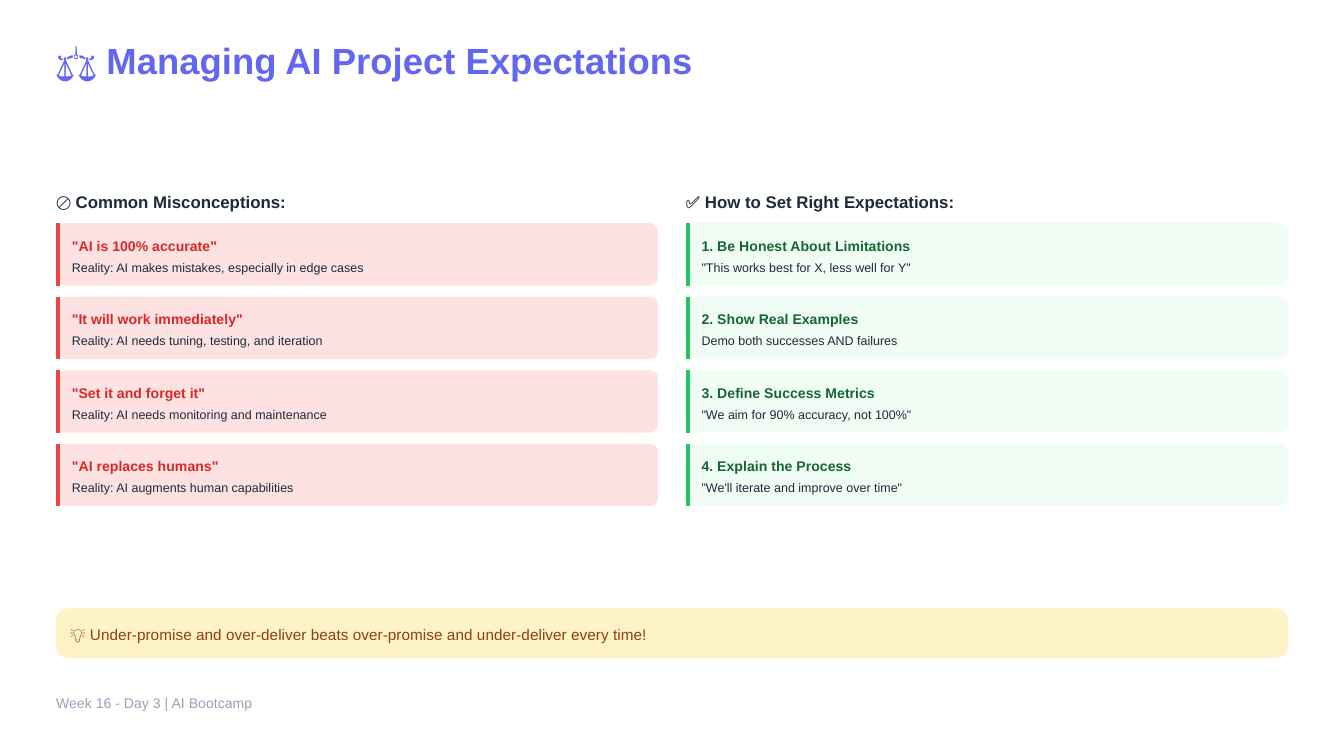
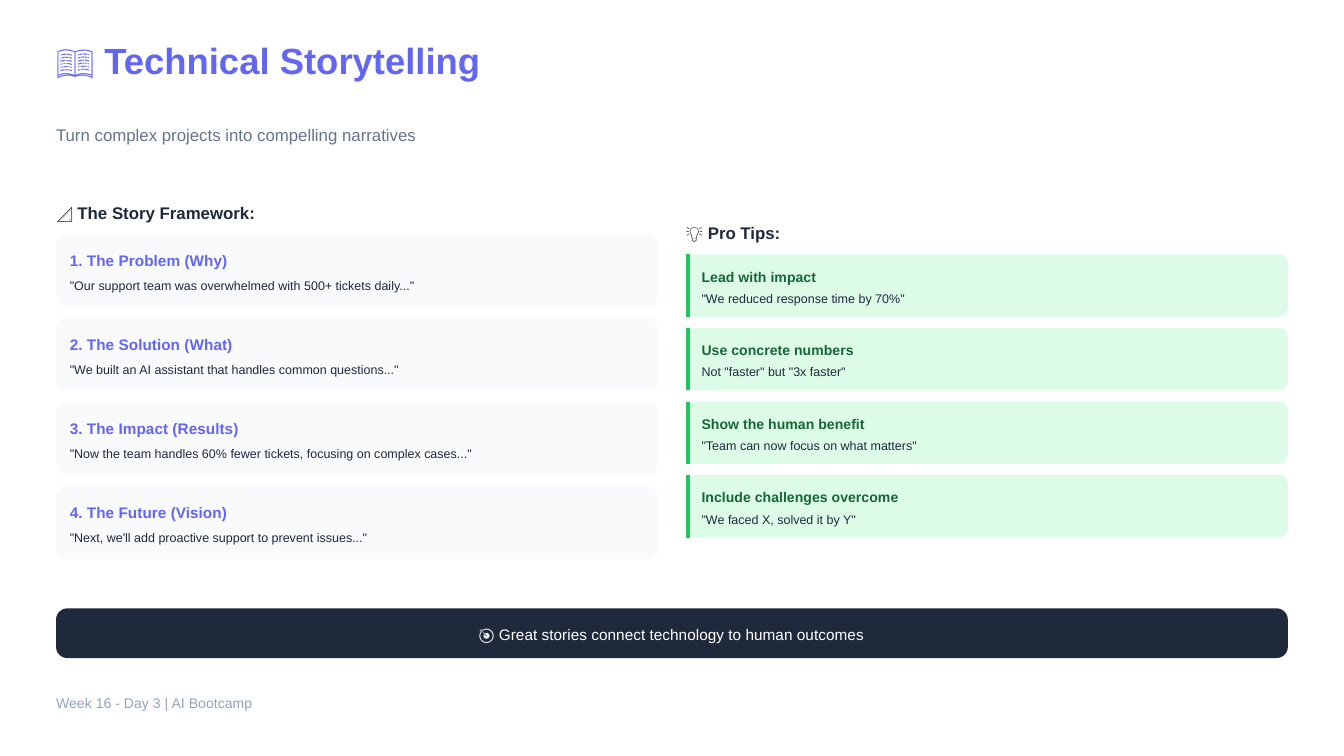
import dataclasses

import pptx
import pptx.dml.color
import pptx.enum.shapes
import pptx.enum.text
import pptx.oxml
import pptx.util

Cm = pptx.util.Cm
Pt = pptx.util.Pt
RGBColor = pptx.dml.color.RGBColor
PP_ALIGN = pptx.enum.text.PP_ALIGN

INDIGO = RGBColor(0x63, 0x66, 0xF1)
INK = RGBColor(0x1E, 0x29, 0x3B)
SLATE = RGBColor(0x64, 0x74, 0x8B)
MUTED = RGBColor(0x94, 0xA3, 0xB8)
WHITE = RGBColor(0xFF, 0xFF, 0xFF)
MIST = RGBColor(0xF8, 0xFA, 0xFC)
RED = RGBColor(0xEF, 0x44, 0x44)
RED_DARK = RGBColor(0xDC, 0x26, 0x26)
RED_PALE = RGBColor(0xFE, 0xE2, 0xE2)
GREEN = RGBColor(0x22, 0xC5, 0x5E)
GREEN_DARK = RGBColor(0x16, 0x65, 0x34)
GREEN_PALE = RGBColor(0xF0, 0xFD, 0xF4)
GREEN_LIGHT = RGBColor(0xDC, 0xFC, 0xE7)
AMBER_DARK = RGBColor(0x92, 0x40, 0x0E)
AMBER_PALE = RGBColor(0xFE, 0xF3, 0xC7)

FONT = "Arial"
LEFT, RIGHT = Cm(1.06), Cm(12.96)
CARD_W, BANNER_W = Cm(11.38), Cm(23.28)
CARD_GAP = Cm(0.21)
HEADING_H = Cm(0.66)
FOOTER = "Week 16 - Day 3 | AI Bootcamp"


@dataclasses.dataclass
class CardStyle:
    """Look and inner measures of the cards in a column."""
    fill: RGBColor
    title_color: RGBColor
    bar: RGBColor = None
    height: int = Cm(1.18)
    radius: float = 0.135
    title_size: float = 7.5
    inset: int = Cm(0.3)
    title_y: int = Cm(0.21)
    body_y: int = Cm(0.64)


MYTH = CardStyle(RED_PALE, RED_DARK, RED)
ADVICE = CardStyle(GREEN_PALE, GREEN_DARK, GREEN)
TIP = CardStyle(GREEN_LIGHT, GREEN_DARK, GREEN)
STORY = CardStyle(MIST, INDIGO, height=Cm(1.38), radius=0.154, title_size=8.25,
                  inset=Cm(0.26), title_y=Cm(0.26), body_y=Cm(0.78))


def write(sp, text, size, color, bold=False, align=PP_ALIGN.LEFT, leading=1.4, after=0):
    """Fill a shape with one formatted paragraph without margins."""
    tf = sp.text_frame
    tf.word_wrap = True
    tf.auto_size = pptx.enum.text.MSO_AUTO_SIZE.NONE
    tf.vertical_anchor = pptx.enum.text.MSO_ANCHOR.TOP
    tf.margin_left = tf.margin_top = tf.margin_right = tf.margin_bottom = 0
    p = tf.paragraphs[0]
    p.alignment = align
    p.line_spacing = Pt(round(size * leading, 2))
    p.space_before, p.space_after = Pt(0), Pt(after)
    r = p.add_run()
    r.text = text
    r.font.name, r.font.size, r.font.bold = FONT, Pt(size), bold
    r.font.color.rgb = color


def add_text(slide, x, y, w, text, size, color, **fmt):
    """Add a one-line text box whose height follows its type size."""
    sp = slide.shapes.add_textbox(x, y, w, Pt(round(size * 1.4, 2)))
    write(sp, text, size, color, **fmt)


def add_panel(slide, x, y, w, h, fill, radius):
    """Add a rounded panel without outline."""
    kind = pptx.enum.shapes.MSO_SHAPE.ROUNDED_RECTANGLE
    sp = slide.shapes.add_shape(kind, x, y, w, h)
    sp.adjustments[0] = radius
    sp.shadow.inherit = False
    sp.fill.solid()
    sp.fill.fore_color.rgb = fill
    sp.line.fill.background()


def add_bar(slide, x, y, h, color):
    """Add a vertical accent line."""
    kind = pptx.enum.shapes.MSO_CONNECTOR.STRAIGHT
    line = slide.shapes.add_connector(kind, x, y, x, y + h)
    line.line.color.rgb = color
    line.line.width = Pt(2.25)
    effects = pptx.oxml.ns.qn("a:effectLst")
    line._element.spPr.append(line._element.makeelement(effects, {}))


def add_card(slide, x, y, title, body, style):
    """Add a card with a heading, one line of text and an optional bar."""
    add_panel(slide, x, y, CARD_W, style.height, style.fill, style.radius)
    if style.bar:
        add_bar(slide, x + Cm(0.04), y, style.height, style.bar)
    text_x, text_w = x + style.inset, CARD_W - style.inset
    add_text(slide, text_x, y + style.title_y, text_w, title,
             style.title_size, style.title_color, bold=True)
    add_text(slide, text_x, y + style.body_y, text_w, body, 6.75, INK)


def add_column(slide, x, y, heading, cards, style):
    """Add a heading with evenly spaced cards below it."""
    add_text(slide, x, y, Cm(11.61), heading, 9, INK, bold=True)
    for i, (title, body) in enumerate(cards):
        card_y = y + HEADING_H + i * (style.height + CARD_GAP)
        add_card(slide, x, card_y, title, body, style)


def add_banner(slide, text, fill, color, inset, align=PP_ALIGN.LEFT):
    """Add the takeaway band near the foot of the slide."""
    y = Cm(11.5)
    add_panel(slide, LEFT, y, BANNER_W, Cm(0.94), fill, 0.226)
    add_text(slide, LEFT + inset, y + Cm(0.26), Cm(23.22), text, 8.25, color, align=align)


def add_base(prs, title, title_w):
    """Add a slide with the shared title and footer."""
    slide = prs.slides.add_slide(prs.slide_layouts[5])
    sp = slide.shapes.title
    sp.left, sp.top, sp.width, sp.height = LEFT, Cm(0.85), title_w, Cm(0.69)
    write(sp, title, 19.5, INDIGO, bold=True, leading=1, after=9)
    add_text(slide, LEFT, Cm(13.08), Cm(23.75), FOOTER, 7.5, MUTED)
    return slide


def build_expectations(prs):
    """Build the slide on project expectations."""
    slide = add_base(prs, "⚖️ Managing AI Project Expectations", Cm(12.37))
    y = Cm(3.56)
    add_column(slide, LEFT, y, "🚫 Common Misconceptions:", [
        ('"AI is 100% accurate"', "Reality: AI makes mistakes, especially in edge cases"),
        ('"It will work immediately"', "Reality: AI needs tuning, testing, and iteration"),
        ('"Set it and forget it"', "Reality: AI needs monitoring and maintenance"),
        ('"AI replaces humans"', "Reality: AI augments human capabilities"),
    ], MYTH)
    add_column(slide, RIGHT, y, "✅ How to Set Right Expectations:", [
        ("1. Be Honest About Limitations", '"This works best for X, less well for Y"'),
        ("2. Show Real Examples", "Demo both successes AND failures"),
        ("3. Define Success Metrics", '"We aim for 90% accuracy, not 100%"'),
        ("4. Explain the Process", '"We\'ll iterate and improve over time"'),
    ], ADVICE)
    add_banner(slide, "💡 Under-promise and over-deliver beats over-promise "
               "and under-deliver every time!", AMBER_PALE, AMBER_DARK, Cm(0.26))


def build_storytelling(prs):
    """Build the slide on technical storytelling."""
    slide = add_base(prs, "📖 Technical Storytelling", Cm(11.91))
    add_text(slide, LEFT, Cm(2.29), Cm(23.75),
             "Turn complex projects into compelling narratives", 9, SLATE, after=9)
    add_column(slide, LEFT, Cm(3.76), "📐 The Story Framework:", [
        ("1. The Problem (Why)",
         '"Our support team was overwhelmed with 500+ tickets daily..."'),
        ("2. The Solution (What)",
         '"We built an AI assistant that handles common questions..."'),
        ("3. The Impact (Results)",
         '"Now the team handles 60% fewer tickets, focusing on complex cases..."'),
        ("4. The Future (Vision)",
         '"Next, we\'ll add proactive support to prevent issues..."'),
    ], STORY)
    add_column(slide, RIGHT, Cm(4.15), "💡 Pro Tips:", [
        ("Lead with impact", '"We reduced response time by 70%"'),
        ("Use concrete numbers", 'Not "faster" but "3x faster"'),
        ("Show the human benefit", '"Team can now focus on what matters"'),
        ("Include challenges overcome", '"We faced X, solved it by Y"'),
    ], TIP)
    add_banner(slide, "🎯 Great stories connect technology to human outcomes",
               INK, WHITE, Cm(0.03), align=PP_ALIGN.CENTER)


def main():
    """Build and save the presentation."""
    prs = pptx.Presentation()
    prs.slide_width, prs.slide_height = Cm(25.4), Cm(14.29)
    build_expectations(prs)
    build_storytelling(prs)
    prs.save("out.pptx")


if __name__ == "__main__":
    main()
